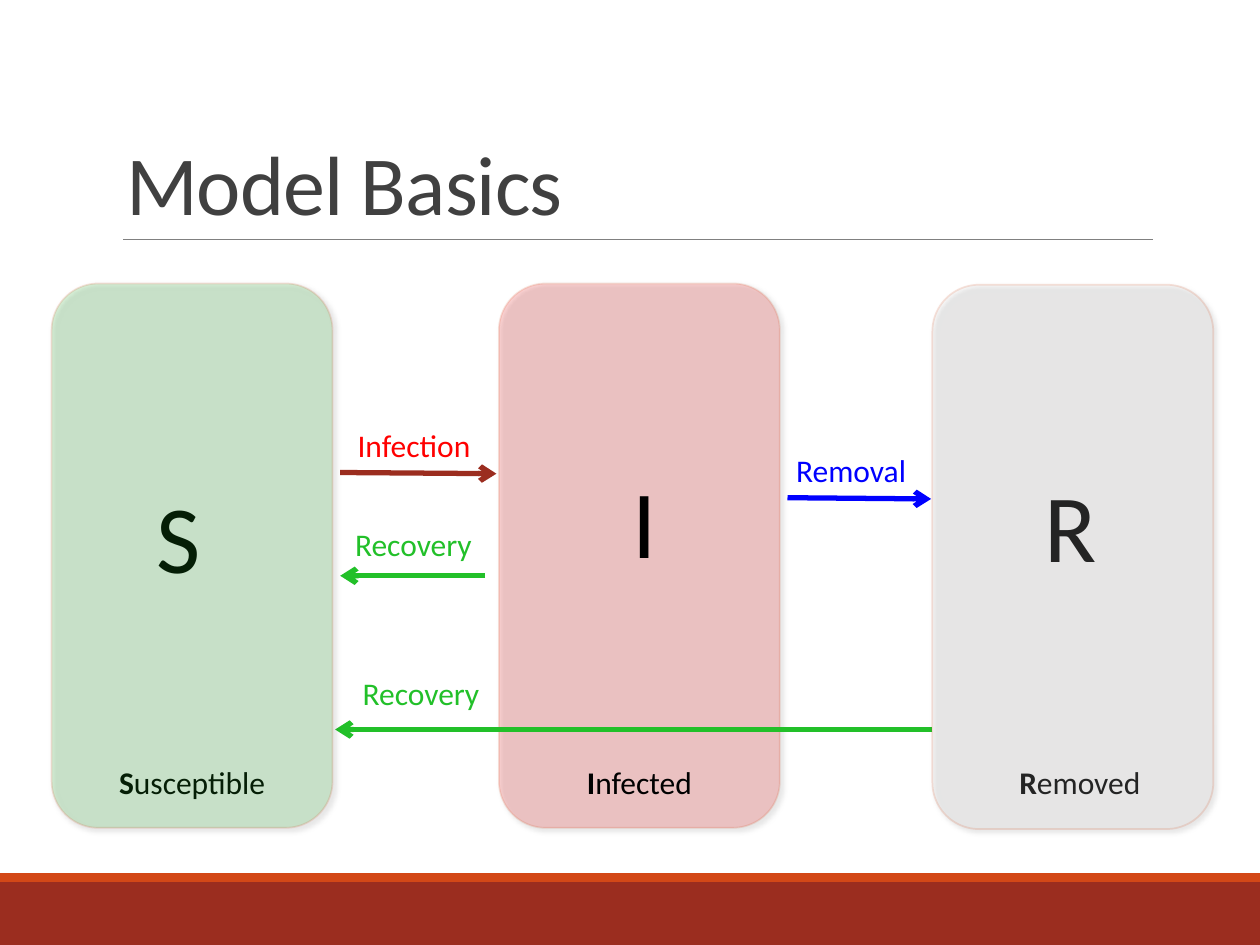
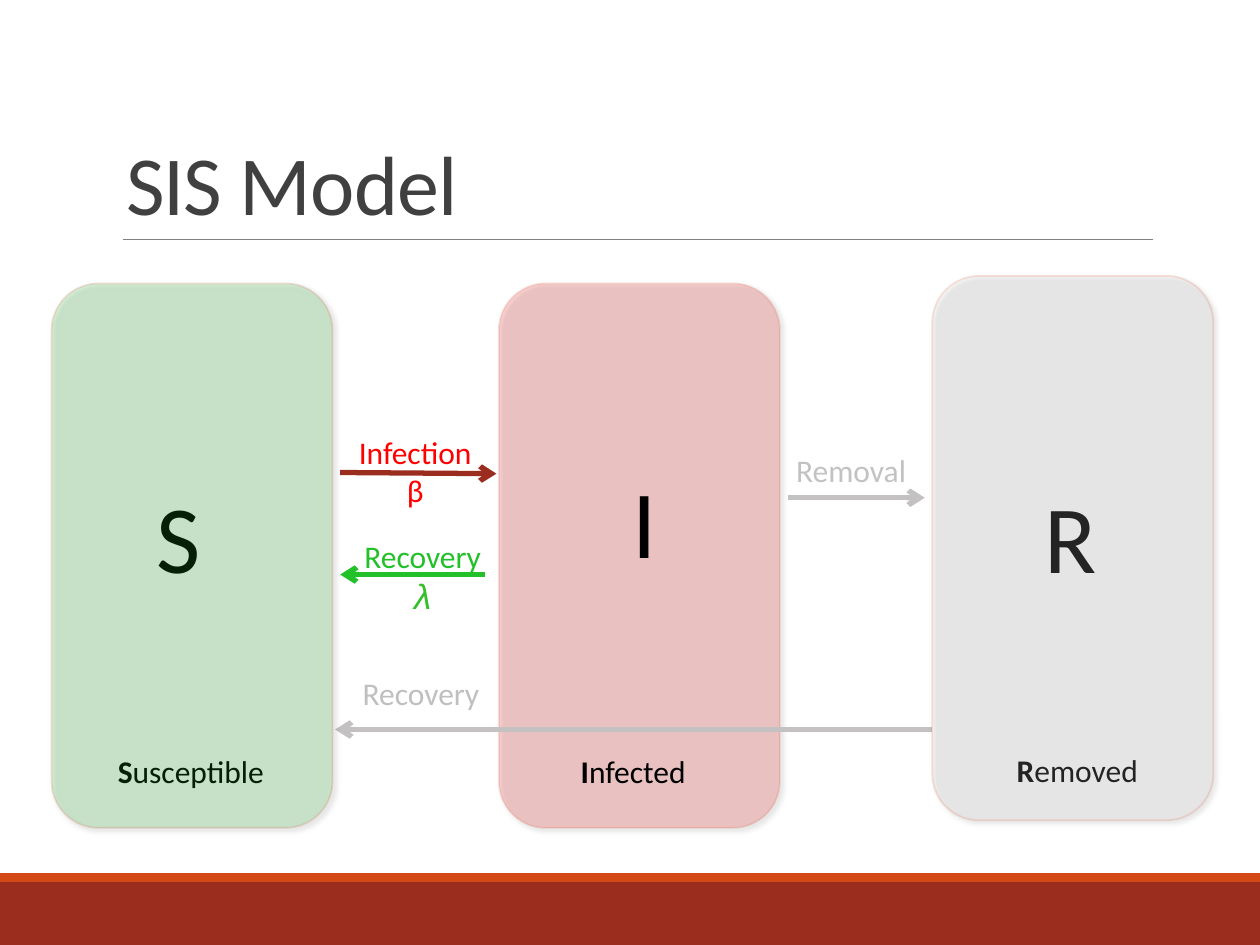
from lxml import etree
from pptx import Presentation
from pptx import util as u
from pptx.dml.color import RGBColor
from pptx.enum import shapes, text
from pptx.oxml import parse_xml
from pptx.oxml.ns import qn

A = 'xmlns:a="http://schemas.openxmlformats.org/drawingml/2006/main"'
C = dict(band="9B2D1F", stripe="D34817", rule="808080", title="404040",
         edge="D34412", black="000000", red="FF0000", green="22C029",
         lime="33C029", blue="0000FF", grey="C3C1C1", pale="BFBFBF", removed="E1E0E0")
rgb = {name: RGBColor.from_string(h) for name, h in C.items()}
FONT = "Calibri"

prs = Presentation()
prs.slide_width, prs.slide_height = u.Inches(10), u.Inches(7.5)
X, Y = prs.slide_width / 100, prs.slide_height / 100  # one percent of the slide

# Compartment grid: left edge of each column, shared size, all in percent
COLS = dict(S=4.1, I=39.6, R=74)
BOX_W, BOX_H, BOX_TOP = 22.3, 57.6, 30
BOX_FILL = dict(S="green", I="red", R="removed")
WORDS = dict(S="Susceptible", I="Infected", R="Removed")


def add_box(s, name, top):
    sp = s.shapes.add_shape(shapes.MSO_SHAPE.ROUNDED_RECTANGLE, int(COLS[name] * X),
                            int(top * Y), int(BOX_W * X), int(BOX_H * Y))
    sp.fill.solid()
    sp.fill.fore_color.rgb = rgb[BOX_FILL[name]]
    sp.line.color.rgb = rgb["edge"]
    sp.line.width = u.Pt(1)
    spPr = sp.fill._xPr
    for clr, alpha in zip(spPr.iter(qn("a:srgbClr")), (16000, 15000)):
        etree.SubElement(clr, qn("a:alpha")).set("val", str(alpha))
    spPr.append(parse_xml(
        f'<a:effectLst {A}><a:outerShdw blurRad="38100" dist="25400" dir="2700000" '
        'rotWithShape="0"><a:srgbClr val="000000"><a:alpha val="60000"/></a:srgbClr>'
        '</a:outerShdw></a:effectLst>'))


def add_text(s, x, y, w, h, lines, color, size=18, centered=False):
    tb = s.shapes.add_textbox(int(x * X), int(y * Y), int(w * X), int(h * Y))
    tf = tb.text_frame
    tf.word_wrap = False
    tf.auto_size = text.MSO_AUTO_SIZE.SHAPE_TO_FIT_TEXT
    tf.text = lines
    for p in tf.paragraphs:
        if centered:
            p.alignment = text.PP_ALIGN.CENTER
        for r in p.runs:
            r.font.name, r.font.size = FONT, u.Pt(size)
            r.font.color.rgb = rgb[color]
    return tf


# Per slide: tops of boxes, letters and captions, caption lefts, arrows, labels
SLIDES = [
    dict(title="Model Basics",
         box_top=dict(S=BOX_TOP, I=BOX_TOP, R=30.13),
         letter_top=dict(S=49.87, I=48.27, R=48.67),
         caption=dict(S=(8.4, 80.13), I=(45.5, 80.13), R=(79.8, 80.13)),
         arrows=[(27, 50, 39.4, 50.13, "band"), (62.5, 52.67, 73.9, 52.8, "blue"),
                 (38.5, 60.93, 27, 60.93, "green"), (74, 77.2, 26.6, 77.2, "green")],
         labels=[(27.4, 44.4, 11.6, 5.33, "Infection", "red"),
                 (27.2, 54.93, 12.7, 5.33, "Recovery", "green"),
                 (27.8, 70.67, 12.7, 5.33, "Recovery", "green"),
                 (62.2, 47.07, 10.9, 5.33, "Removal", "blue")]),
    dict(title="SIS Model",
         box_top=dict(S=BOX_TOP, I=BOX_TOP, R=29.2),
         letter_top=dict(S=49.87, I=48.27, R=49.87),
         caption=dict(S=(8.3, 78.93), I=(45, 78.93), R=(79.6, 78.8)),
         arrows=[(27, 50, 39.4, 50.13, "band"), (62.5, 52.67, 73.4, 52.67, "grey"),
                 (38.5, 60.8, 27, 60.8, "green"), (74, 77.2, 26.6, 77.2, "grey")],
         labels=[(27.4, 45.2, 11.1, 9.47, "Infection\nβ", "red"),
                 (27.8, 56.13, 11.5, 13.87, "Recovery\nλ", "green"),
                 (27.8, 70.67, 12.7, 5.33, "Recovery", "pale"),
                 (62.2, 47.07, 10.9, 5.33, "Removal", "grey")]),
]
CAPTION_W = dict(S=13.7, I=10.5, R=11.8)
LETTER = dict(S=(11.4, 7.2), I=(49.2, 4.2), R=(81.9, 7.6))  # left, width

# Shared layout: title place, red band, orange stripe and rule
layout = prs.slide_layouts[5]
ph = layout.placeholders[0]
ph.left, ph.top, ph.width, ph.height = [
    int(v) for v in (9 * X, 4.13 * Y, 82.5 * X, 21.2 * Y)]

for i, d in enumerate(SLIDES):
    s = prs.slides.add_slide(layout)

    # Bands and rule are made once and moved to the layout
    if i == 0:
        decor = []
        for top, height, color in ((93.33, 6.67, "band"), (92.4, 0.93, "stripe")):
            sp = s.shapes.add_shape(shapes.MSO_SHAPE.RECTANGLE, 0, int(top * Y),
                                    prs.slide_width, int(height * Y))
            sp.shadow.inherit = False
            sp.fill.solid()
            sp.fill.fore_color.rgb = rgb[color]
            sp.line.fill.background()
            decor.append(sp)
        rule = s.shapes.add_connector(shapes.MSO_CONNECTOR.STRAIGHT, int(9.8 * X),
                                      int(25.33 * Y), int(91.5 * X), int(25.33 * Y))
        rule.line.color.rgb = rgb["rule"]
        rule.line.width = u.Pt(0.5)
        etree.SubElement(rule.element.spPr, qn("a:effectLst"))
        for sp in decor + [rule]:
            layout.element.cSld.spTree.append(sp.element)

    # Title
    tf = s.shapes.title.text_frame
    tf.text = d["title"]
    tf.word_wrap = True
    tf.auto_size = text.MSO_AUTO_SIZE.NONE
    tf.vertical_anchor = text.MSO_ANCHOR.BOTTOM
    p = tf.paragraphs[0]
    p.alignment, p.line_spacing = text.PP_ALIGN.LEFT, 0.85
    r = p.runs[0]
    r.font.name, r.font.size = FONT, u.Pt(48)
    r.font.color.rgb = rgb["title"]
    r.font._element.set("spc", "-50")

    # Infected box lies behind the texts and arrows
    add_box(s, "I", d["box_top"]["I"])

    # Captions with a bold initial, and the big letters
    for name, word in WORDS.items():
        x, y = d["caption"][name]
        tf = add_text(s, x, y, CAPTION_W[name], 5.33, name, "black", centered=True)
        first = tf.paragraphs[0].runs[0]
        first.font.bold = True
        r = tf.paragraphs[0].add_run()
        r.text = word[1:]
        r.font.name, r.font.size = FONT, first.font.size
        r.font.color.rgb = rgb["black"]
        x, w = LETTER[name]
        add_text(s, x, d["letter_top"][name], w, 13.73, name, "black", size=55)

    # Arrows
    for x1, y1, x2, y2, color in d["arrows"]:
        c = s.shapes.add_connector(shapes.MSO_CONNECTOR.STRAIGHT, int(x1 * X),
                                   int(y1 * Y), int(x2 * X), int(y2 * Y))
        c.line.color.rgb = rgb[color]
        c.line.width = u.Pt(3)
        etree.SubElement(c.line._get_or_add_ln(), qn("a:tailEnd")).set("type", "arrow")
        etree.SubElement(c.element.spPr, qn("a:effectLst"))

    # Outer boxes tint the texts beneath them
    for name in "SR":
        add_box(s, name, d["box_top"][name])

    # Arrow labels; the recovery rate is an italic symbol
    for x, y, w, h, label, color in d["labels"]:
        tf = add_text(s, x, y, w, h, label, color, centered="\n" in label)
        if label.endswith("λ"):
            f = tf.paragraphs[1].runs[0].font
            f.name, f.size, f.italic = "Arial", u.Pt(20), True
            f.color.rgb = rgb["lime"]

prs.save("out.pptx")
